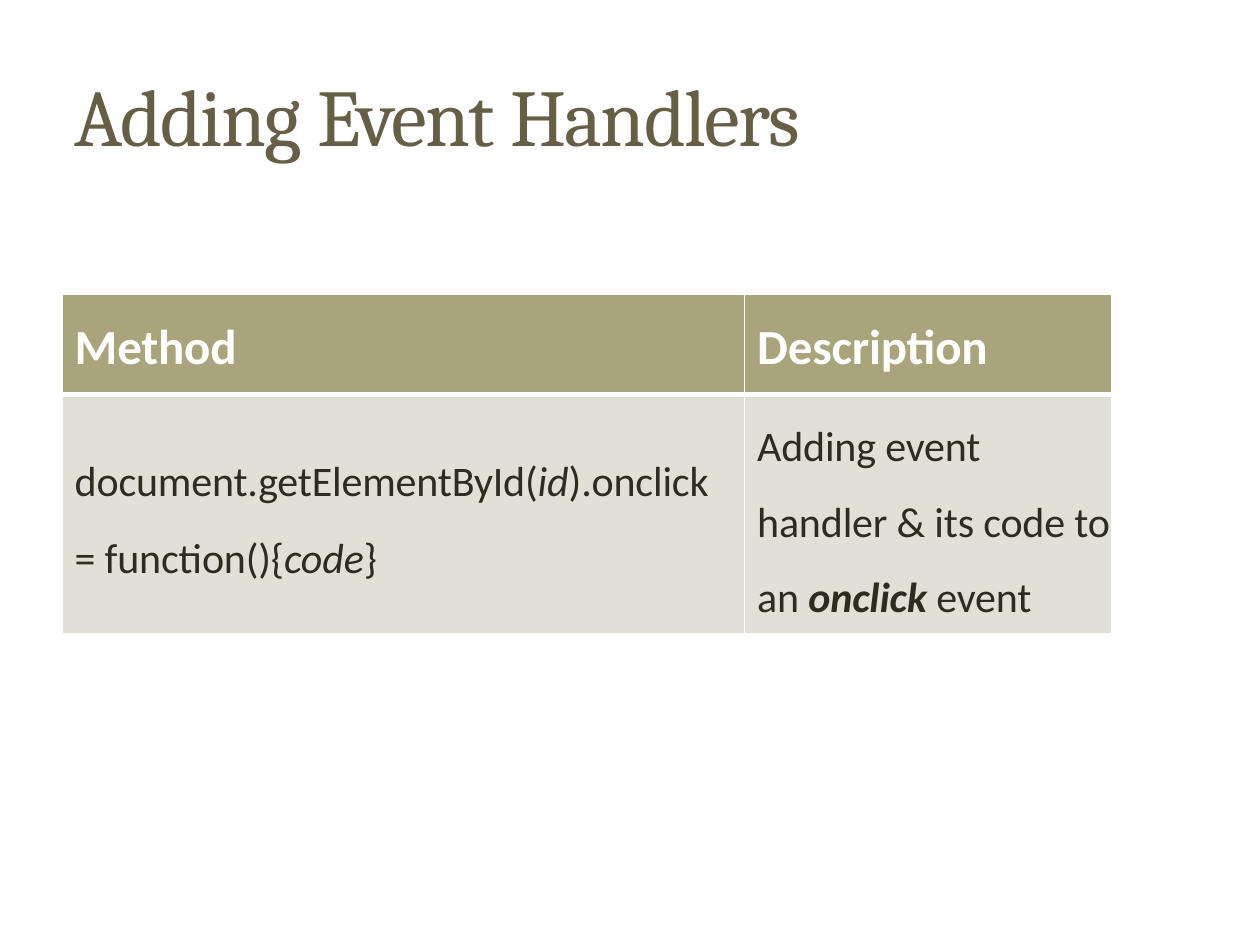
from lxml import etree
from pptx import Presentation
from pptx.enum import text
from pptx.dml.color import RGBColor
from pptx.oxml import ns
from pptx.util import Pt

COLORS = {"title": "675E46", "head": "A9A47B", "body": "E1E0D6",
          "ink": "2E2B1F", "white": "FFFFFF"}


def rgb(name):
    return RGBColor.from_string(COLORS[name])


class Deck:
    """Holds the style and the current slide."""
    title_font, body_font = "Cambria", "Calibri"

    def __init__(self, width, height):
        self.prs = Presentation()
        self.prs.slide_width, self.prs.slide_height = Pt(width), Pt(height)
        self.s = self.prs.slides.add_slide(self.prs.slide_layouts[5])

    def run(self, p, words, size, color, font, style="", spc=0):
        r = p.add_run()
        r.text = words
        f = r.font
        f.name, f.size, f.color.rgb = font, Pt(size), rgb(color)
        f.bold, f.italic = "b" in style, "i" in style
        r._r.get_or_add_rPr().set("spc", str(round(spc * 100)))

    def title(self, box, runs):
        sp = self.s.shapes.title
        sp.left, sp.top, sp.width, sp.height = map(Pt, box)
        tf = sp.text_frame
        tf.margin_left = tf.margin_right = tf.margin_bottom = 0
        tf.margin_top = Pt(1)
        tf.word_wrap = True
        tf.auto_size = text.MSO_AUTO_SIZE.NONE
        tf.vertical_anchor = text.MSO_ANCHOR.TOP
        p = tf.paragraphs[0]
        p.alignment = text.PP_ALIGN.LEFT
        for words, spc in runs:
            self.run(p, words, 46, "title", self.title_font, spc=spc)

    def table(self, left, top, cols, rows):
        frame = self.s.shapes.add_table(len(rows), len(cols), Pt(left), Pt(top),
                                        Pt(sum(cols)), Pt(sum(rows)))
        table = frame.table
        table.first_row = table.horz_banding = False
        for col, width in zip(table.columns, cols):
            col.width = Pt(width)
        for row, height in zip(table.rows, rows):
            row.height = Pt(height)
        return table

    def cell(self, cell, paragraphs, size, color, fill, top, borders,
             before=0, leading=None):
        cell.fill.solid()
        cell.fill.fore_color.rgb = rgb(fill)
        cell.margin_left, cell.margin_top = Pt(7.2), Pt(top)
        cell.margin_right = cell.margin_bottom = 0
        self.borders(cell, borders)
        tf = cell.text_frame
        for i, runs in enumerate(paragraphs):
            p = tf.add_paragraph() if i else tf.paragraphs[0]
            if i:
                p.space_before = Pt(before)
            if leading:
                p.line_spacing = Pt(leading)
            for words, style in runs:
                self.run(p, words, size, color, self.body_font, style, -0.1)

    def borders(self, cell, widths):
        pr = cell._tc.get_or_add_tcPr()
        for i, (side, width) in enumerate(zip("LRTB", widths)):
            ln = etree.Element(ns.qn(f"a:ln{side}"), w=str(Pt(width)))
            fill = etree.SubElement(ln, ns.qn("a:solidFill"))
            etree.SubElement(fill, ns.qn("a:srgbClr"), val=COLORS["white"])
            pr.insert(i, ln)


def main():
    deck = Deck(720, 540)

    # Title
    deck.title((42.5, 36.7, 452, 57),
               [("Adding ", -0.9), ("Event ", -1.1), ("Handlers", -0.9)])

    # Table with a header row and one method
    table = deck.table(35.5, 168, [390, 210], [57.6, 136.8])
    for i, words in enumerate(["Method", "Description"]):
        deck.cell(table.cell(0, i), [[(words, "b")]], 28, "white", "head",
                  13.6, (1, 1, 1, 3))

    method = [[("document.getElementById(", ""), ("id", "i"), (").onclick", "")],
              [("= ", ""), ("function(){", ""), ("code", "i"), ("}", "")]]
    description = [[("Adding ", ""), ("event handler & its code to ", ""),
                    ("an ", ""), ("onclick ", "bi"), ("event", "")]]
    body = dict(size=24, color="ink", fill="body", borders=(1, 1, 3, 1))
    deck.cell(table.cell(1, 0), method, top=35.4, before=14.4, **body)
    deck.cell(table.cell(1, 1), description, top=1.4, leading=43.2, **body)

    deck.prs.save("out.pptx")


if __name__ == "__main__":
    main()
